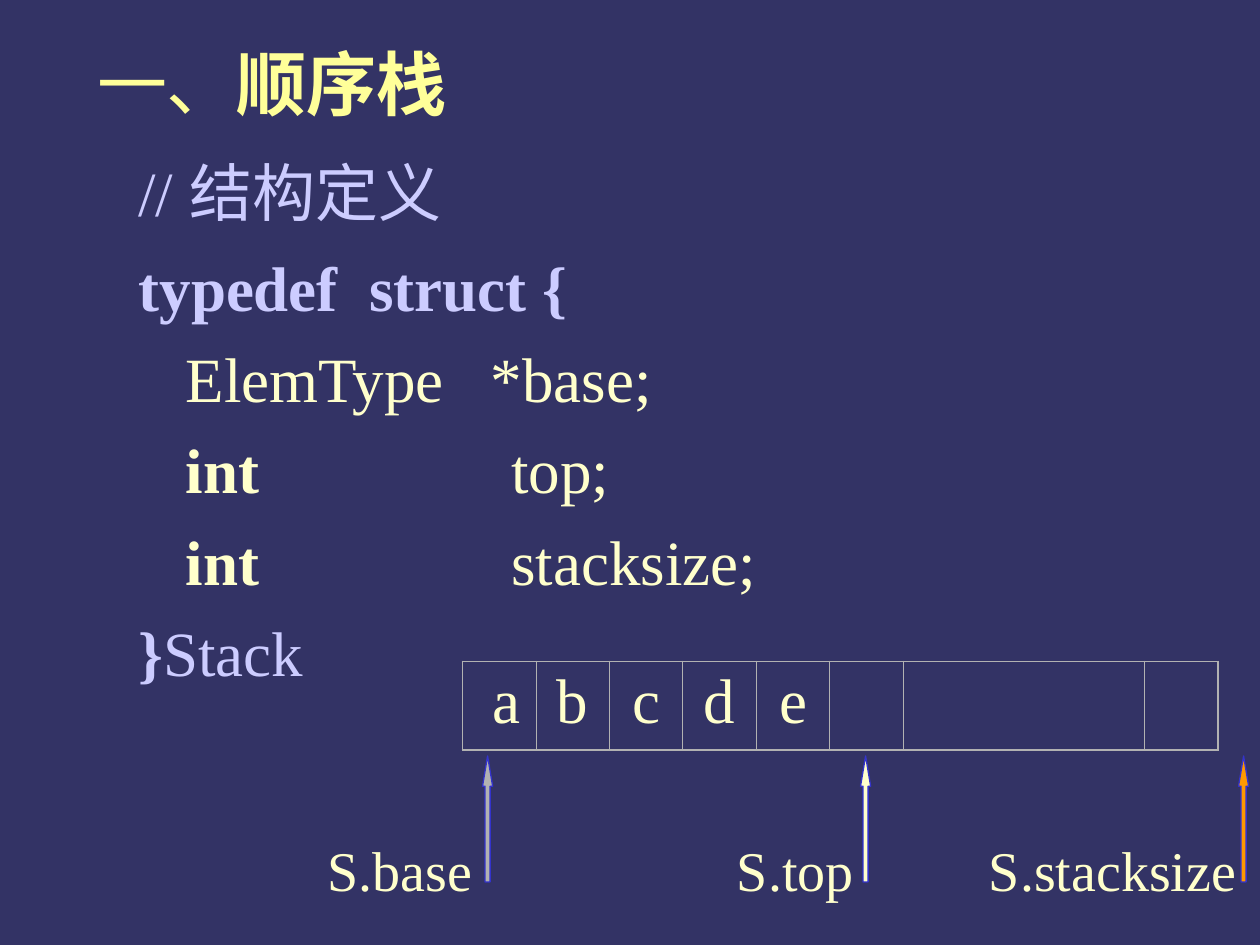
"""Build a slide on the sequential stack: its struct definition and memory layout."""
import pptx
import pptx.dml.color
import pptx.enum.shapes
import pptx.enum.text
import pptx.oxml
import pptx.oxml.ns
import pptx.util
from dataclasses import dataclass

from pptx.util import Inches


@dataclass(frozen=True)
class Theme:
    font: str = "Times New Roman"
    background: str = "333365"
    title: str = "FFFF99"
    keyword: str = "CCCCFF"
    text: str = "FFFFCC"
    grid: str = "B2B2B2"
    outline: str = "3333CC"
    limit: str = "FF9900"
    title_size: int = 40
    code_size: int = 36
    label_size: int = 32


theme = Theme()
rgb = pptx.dml.color.RGBColor.from_string


def add_span(para, text, size=theme.code_size, color=theme.text, bold=False):
    span = para.add_run()
    span.text = text
    span.font.name = theme.font
    span.font.size = pptx.util.Pt(size)
    span.font.color.rgb = rgb(color)
    span.font.bold = bold


def set_border(cell, side, width):
    line = pptx.oxml.parse_xml(
        f'<a:{side} {pptx.oxml.ns.nsdecls("a")} w="{pptx.util.Pt(width)}">'
        f'<a:solidFill><a:srgbClr val="{theme.grid}"/></a:solidFill></a:{side}>')
    cell._tc.get_or_add_tcPr().append(line)


deck = pptx.Presentation()
deck.slide_width, deck.slide_height = Inches(10), Inches(7.5)
page = deck.slides.add_slide(deck.slide_layouts[1])
page.background.fill.solid()
page.background.fill.fore_color.rgb = rgb(theme.background)

title, code = page.placeholders
for box, place in ((title, (0.67, 0.27, 3.5, 0.77)), (code, (1, 1.92, 5.42, 3.6))):
    box.left, box.top, box.width, box.height = map(Inches, place)
    box.text_frame.auto_size = pptx.enum.text.MSO_AUTO_SIZE.NONE
    box.text_frame.vertical_anchor = pptx.enum.text.MSO_ANCHOR.TOP
heading = title.text_frame.paragraphs[0]
heading.alignment = pptx.enum.text.PP_ALIGN.LEFT
add_span(heading, "一、", size=theme.title_size, color=theme.title)
add_span(heading, "顺序栈", size=theme.title_size, color=theme.title, bold=True)

comment = page.shapes.add_textbox(Inches(1), Inches(1.17), Inches(2.92), Inches(0.7))
comment.text_frame.word_wrap = True
add_span(comment.text_frame.paragraphs[0], "// 结构定义", color=theme.keyword)

code_lines = [
    [("typedef  struct {", theme.keyword, True)],
    [("   ElemType   *base;", theme.text, False)],
    [("   ", theme.text, False), ("int", theme.text, True), ("                top;", theme.text, False)],
    [("   ", theme.text, False), ("int", theme.text, True), ("                stacksize;", theme.text, False)],
    [("}", theme.keyword, True), ("Stack", theme.keyword, False)],
]
for index, spans in enumerate(code_lines):
    para = code.text_frame.add_paragraph() if index else code.text_frame.paragraphs[0]
    properties = para._p.get_or_add_pPr()
    properties.set("marL", "0")
    properties.set("indent", "0")
    properties.append(pptx.oxml.parse_xml(f'<a:buNone {pptx.oxml.ns.nsdecls("a")}/>'))
    para.space_before = pptx.util.Pt(9 if index else 0)
    for text, color, bold in spans:
        add_span(para, text, color=color, bold=bold)

values = ["a", "b", "c", "d", "e", "", "", ""]
slot = 7 / 12
widths = [slot] * 6 + [6 - 7 * slot, slot]
table = page.shapes.add_table(
    1, len(values), Inches(3.67), Inches(5.25), Inches(6), Inches(0.7)).table
table.first_row = table.horz_banding = False
last = len(values) - 1
for index, (value, width) in enumerate(zip(values, widths)):
    table.columns[index].width = Inches(width)
    cell = table.cell(0, index)
    cell.margin_left = Inches(0.22 if index == 0 else 0.1)
    set_border(cell, "lnL", 1.08 if index == 0 else 0.45)
    set_border(cell, "lnR", 1.08 if index == last else 0.45)
    set_border(cell, "lnT", 1.08)
    set_border(cell, "lnB", 1.08)
    cell.fill.background()
    if value:
        para = cell.text_frame.paragraphs[0]
        para.alignment = pptx.enum.text.PP_ALIGN.CENTER
        add_span(para, value)

pointers = [
    ("S.base", 2.5, 1.42, 3.83, theme.grid),
    ("S.top", 5.75, 1.42, 6.83, theme.text),
    ("S.stacksize", 7.75, 2.25, 9.83, theme.limit),
]
for name, left, width, arrow_left, color in pointers:
    arrow = page.shapes.add_shape(
        pptx.enum.shapes.MSO_SHAPE.UP_ARROW,
        Inches(arrow_left), Inches(6), Inches(0.08), Inches(1))
    arrow.adjustments[0] = 0.5
    arrow.adjustments[1] = 3
    arrow.shadow.inherit = False
    arrow.fill.solid()
    arrow.fill.fore_color.rgb = rgb(color)
    arrow.line.color.rgb = rgb(theme.outline)
    arrow.line.width = pptx.util.Pt(0.75)
    label = page.shapes.add_textbox(Inches(left), Inches(6.58), Inches(width), Inches(0.64))
    label.text_frame.word_wrap = True
    add_span(label.text_frame.paragraphs[0], name, size=theme.label_size)

deck.save("out.pptx")
